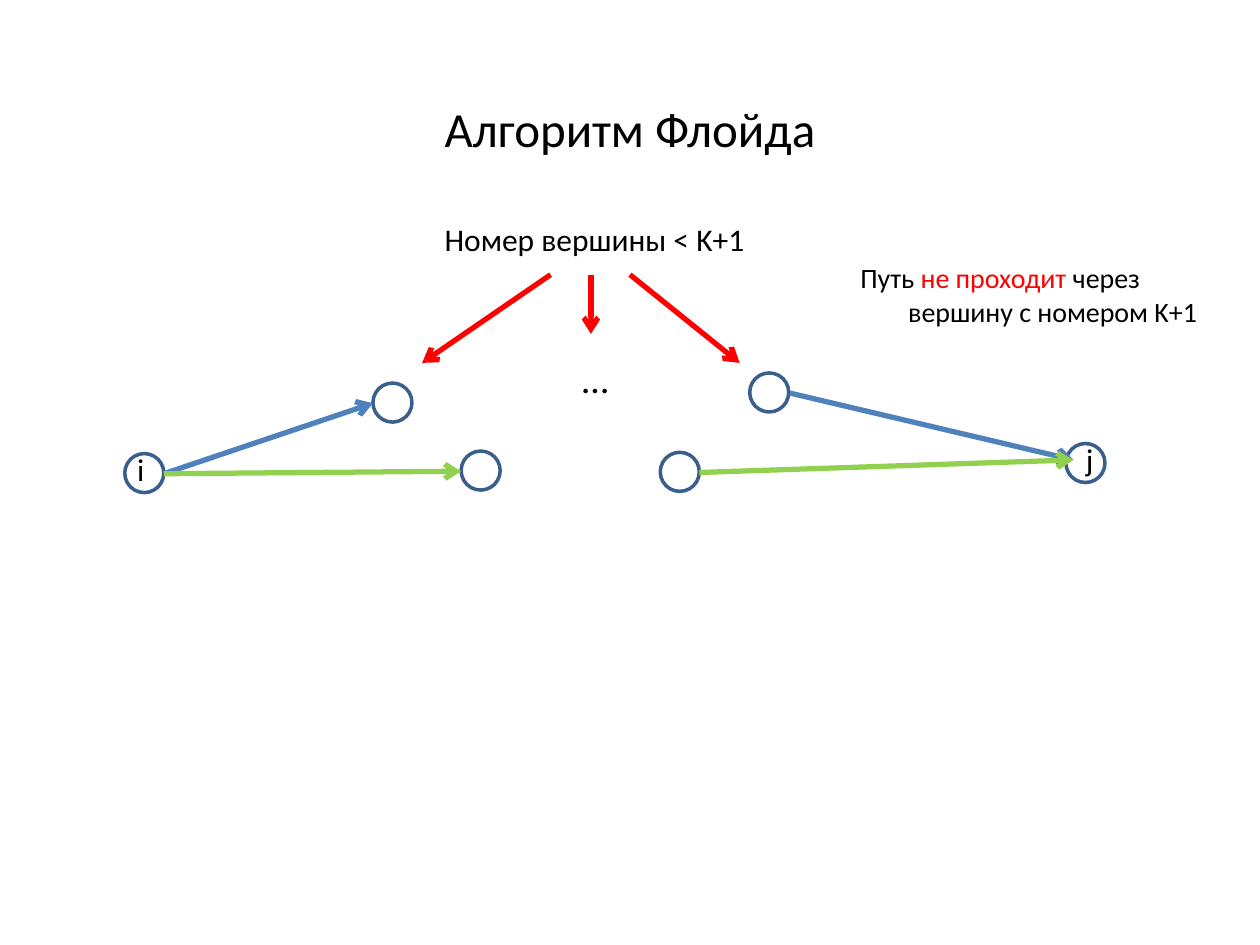
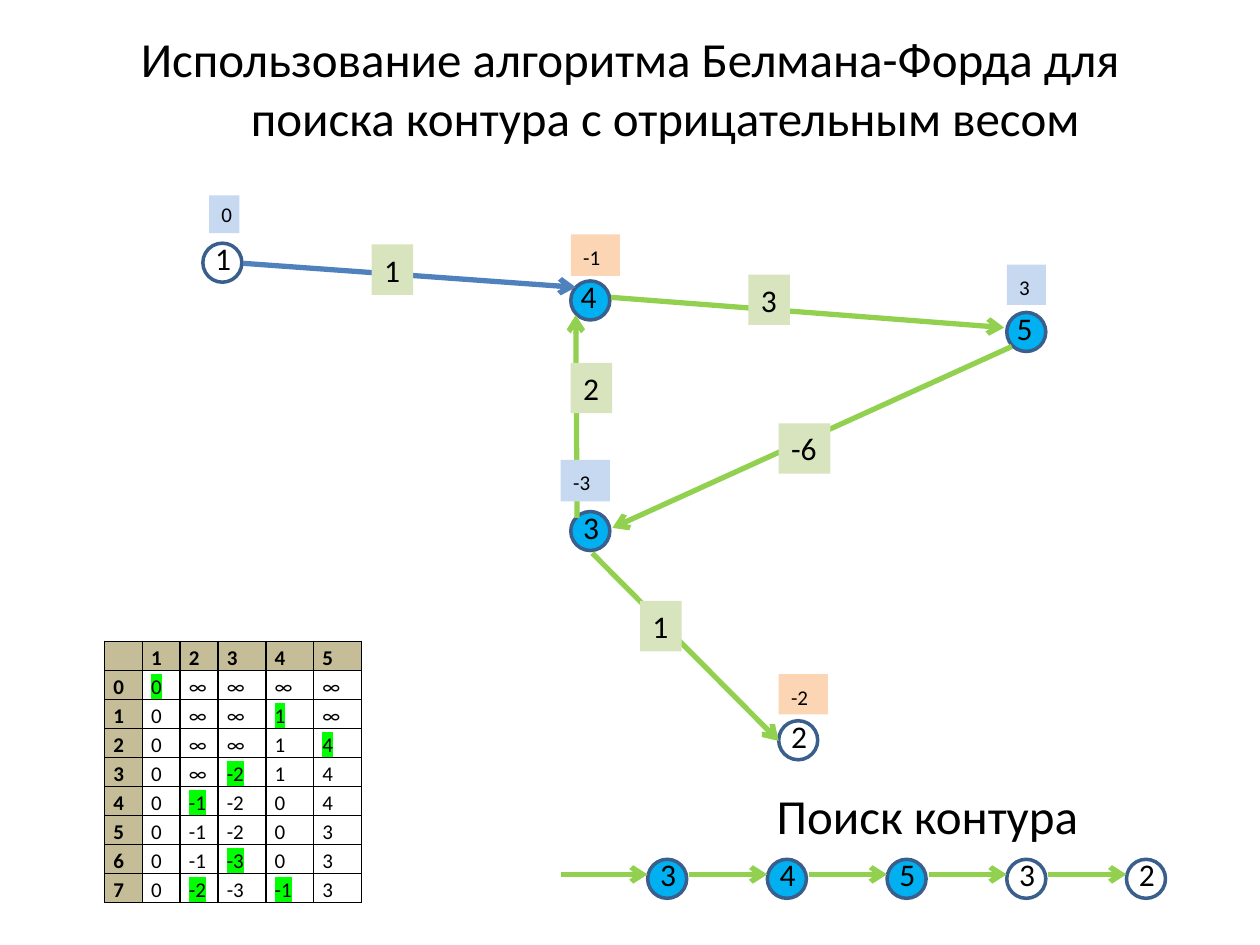
from lxml import etree
from pptx import Presentation
from pptx.dml.color import RGBColor
from pptx.enum.shapes import MSO_CONNECTOR, MSO_SHAPE
from pptx.enum.text import MSO_ANCHOR, MSO_AUTO_SIZE, PP_ALIGN
from pptx.oxml.ns import qn
from pptx.util import Inches, Pt

OVAL, RECT = MSO_SHAPE.OVAL, MSO_SHAPE.RECTANGLE
STRAIGHT = MSO_CONNECTOR.STRAIGHT
CENTER, LEFT = PP_ALIGN.CENTER, PP_ALIGN.LEFT
MIDDLE, TOP = MSO_ANCHOR.MIDDLE, MSO_ANCHOR.TOP
GROW = MSO_AUTO_SIZE.SHAPE_TO_FIT_TEXT

FONT = "Calibri"
BLACK, WHITE, RED = "000000", "FFFFFF", "FF0000"
BLUE, GREEN, OUTLINE, CYCLE = "4F81BD", "92D050", "3A5F8C", "00B0F0"
WEIGHT, DISTANCE, CHANGED = "D7E4BD", "C6D9F1", "FCD5B5"
HEADER, MARKER = "C4BD97", "00FF00"
NODE = 0.31


def rgb(value):
    return RGBColor.from_string(value)


def add_color(parent, tag, value):
    """Append a tag holding a plain colour and return it."""
    element = etree.SubElement(parent, qn(tag))
    etree.SubElement(element, qn("a:srgbClr"), val=value)
    return element


class Board:
    """Holds the presentation's style and the slide being drawn."""

    def __init__(self):
        self.deck = Presentation()
        self.deck.slide_width, self.deck.slide_height = Inches(10), Inches(7.5)
        self.shapes = None

    def new_slide(self):
        self.shapes = self.deck.slides.add_slide(self.deck.slide_layouts[6]).shapes

    def add_run(self, paragraph, text, size, color=BLACK, bold=False):
        run = paragraph.add_run()
        run.text = text
        run.font.size, run.font.bold = Pt(size), bold
        run.font.color.rgb = rgb(color)
        run.font.name = FONT
        return run

    def fill_text(self, shape, runs, size, align=LEFT, anchor=TOP, hang=0, wrap=True, grow=True):
        """Fill a shape with one paragraph of (text, colour) runs."""
        frame = shape.text_frame
        frame.word_wrap, frame.vertical_anchor = wrap, anchor
        if grow:
            frame.auto_size = GROW
        paragraph = frame.paragraphs[0]
        paragraph.alignment = align
        if hang:
            properties = paragraph._p.get_or_add_pPr()
            properties.set("marL", str(Inches(hang)))
            properties.set("indent", str(-Inches(hang)))
        for text, color in runs:
            self.add_run(paragraph, text, size, color)
        return paragraph

    def text(self, box, runs, size, **style):
        shape = self.shapes.add_textbox(*map(Inches, box))
        return self.fill_text(shape, runs, size, **style)

    def title(self, box, text, size=28):
        self.text(box, [(text, BLACK)], size, align=CENTER, anchor=MIDDLE, hang=0.56, grow=False)

    def shape(self, kind, box, fill):
        shape = self.shapes.add_shape(kind, *map(Inches, box))
        shape.shadow.inherit = False
        shape.fill.solid()
        shape.fill.fore_color.rgb = rgb(fill)
        shape.line.fill.background()
        return shape

    def node(self, x, y, label="", fill=WHITE, shift=0):
        """Draw a graph vertex; shift moves its label sideways."""
        circle = self.shape(OVAL, (x, y, NODE, NODE), fill)
        circle.line.color.rgb = rgb(OUTLINE)
        circle.line.width = Pt(2)
        if label:
            self.text((x + shift, y - 0.08, 0.33, 0.4), [(label, BLACK)], 18, wrap=False)

    def arrow(self, start, end, color=GREEN):
        line = self.shapes.add_connector(STRAIGHT, *map(Inches, (*start, *end)))
        line.line.color.rgb = rgb(color)
        line.line.width = Pt(3)
        etree.SubElement(line.line._get_or_add_ln(), qn("a:tailEnd"), type="arrow")
        etree.SubElement(line._element.spPr, qn("a:effectLst"))

    def weight(self, x, y, text, width=0.33):
        tag = self.shape(RECT, (x, y, width, 0.4), WEIGHT)
        self.fill_text(tag, [(text, BLACK)], 18, wrap=False)

    def distance(self, box, text, fill=DISTANCE, spacing=1.15):
        tag = self.shape(RECT, box, fill)
        paragraph = self.fill_text(tag, [(text, BLACK)], 12)
        paragraph.line_spacing = spacing
        if spacing > 1:
            paragraph.space_after = Pt(10)

    def cell(self, cell, text, header, marked):
        cell.margin_left = cell.margin_right = Inches(0.07)
        cell.margin_top = cell.margin_bottom = 0
        properties = cell._tc.get_or_add_tcPr()
        for side in ("a:lnL", "a:lnR", "a:lnT", "a:lnB"):
            border = etree.SubElement(properties, qn(side), w=str(Pt(1)))
            add_color(border, "a:solidFill", BLACK)
        if header:
            cell.fill.solid()
            cell.fill.fore_color.rgb = rgb(HEADER)
        else:
            cell.fill.background()
        paragraph = cell.text_frame.paragraphs[0]
        paragraph.line_spacing, paragraph.space_after = 1.15, Pt(10)
        if not text:
            etree.SubElement(paragraph._p, qn("a:endParaRPr"), sz="1200")
            return
        run_properties = self.add_run(paragraph, text, 12, bold=header)._r.rPr
        if marked:
            highlight = add_color(run_properties, "a:highlight", MARKER)
            run_properties.find(qn("a:latin")).addprevious(highlight)

    def table(self, x, y, widths, row_height, rows):
        """Draw rows of text; a trailing * marks a highlighted value."""
        size = (sum(widths), row_height * len(rows))
        table = self.shapes.add_table(
            len(rows), len(widths), *map(Inches, (x, y, *size))).table
        for column, width in zip(table.columns, widths):
            column.width = Inches(width)
        for r, values in enumerate(rows):
            table.rows[r].height = Inches(row_height)
            for c, value in enumerate(values):
                self.cell(table.cell(r, c), value.rstrip("*"),
                          r == 0 or c == 0, value.endswith("*"))


def floyd_slide(board):
    board.new_slide()
    board.title((0.75, 0.21, 8.5, 1.61), "Алгоритм Флойда")
    board.node(0.99, 3.6, "i")
    board.node(8.46, 3.52, "j", shift=0.06)
    for x, y in ((2.96, 3.04), (5.95, 2.96), (3.66, 3.58), (5.24, 3.59)):
        board.node(x, y)
    board.title((4.37, 2.81, 0.71, 0.39), "…", 21.7)
    board.text((3.43, 1.7, 2.61, 0.4), [("Номер вершины < K+1", BLACK)], 18, wrap=False)
    from_i, to_j = (1.3, 3.76), (8.52, 3.65)
    board.arrow(from_i, (2.96, 3.2), BLUE)
    board.arrow((6.27, 3.12), to_j, BLUE)
    board.arrow(from_i, (3.66, 3.74))
    board.arrow((5.55, 3.75), to_j)
    for x, end in ((4.37, (3.35, 2.88)), (4.69, (4.69, 2.65)), (5, (5.87, 2.88))):
        board.arrow((x, 2.18), end, RED)
    note = [("Путь ", BLACK), ("не проходит", RED), (" через вершину с номером K+1", BLACK)]
    board.text((6.73, 2.02, 3.27, 0.64), note, 16, hang=0.38)


def bellman_ford_slide(board):
    board.new_slide()
    board.title((0.75, 0.05, 8.5, 1.29),
                "Использование алгоритма Белмана-Форда для поиска контура с отрицательным весом")
    board.node(1.61, 1.93, "1")
    board.node(6.18, 5.72, "2")
    board.node(4.53, 4.06, "3", CYCLE)
    board.node(4.53, 2.23, "4", CYCLE, shift=-0.02)
    board.node(7.99, 2.48, "5", CYCLE, shift=-0.02)

    board.arrow((1.93, 2.09), (4.57, 2.28), BLUE)
    board.arrow((4.85, 2.36), (7.97, 2.6))
    board.arrow((8.03, 2.75), (4.86, 4.19))
    board.arrow((4.7, 4.39), (6.18, 5.88))
    board.arrow((4.58, 4.11), (4.57, 2.5))

    board.weight(2.95, 1.94, "1")
    board.weight(5.94, 2.18, "3")
    board.weight(6.18, 3.36, "-6", 0.41)
    board.weight(5.08, 4.77, "1")
    board.weight(4.53, 2.88, "2")

    board.distance((1.66, 1.55, 0.24, 0.3), "0", spacing=1)
    board.distance((6.18, 5.35, 0.39, 0.32), "-2", CHANGED)
    board.distance((4.45, 3.65, 0.39, 0.33), "-3")
    board.distance((4.53, 1.86, 0.39, 0.33), "-1", CHANGED)
    board.distance((7.99, 2.1, 0.31, 0.32), "3")

    steps = [
        ["", "1", "2", "3", "4", "5"],
        ["0", "0*", "∞", "∞", "∞", "∞"],
        ["1", "0", "∞", "∞", "1*", "∞"],
        ["2", "0", "∞", "∞", "1", "4*"],
        ["3", "0", "∞", "-2*", "1", "4"],
        ["4", "0", "-1*", "-2", "0", "4"],
        ["5", "0", "-1", "-2", "0", "3"],
        ["6", "0", "-1", "-3*", "0", "3"],
        ["7", "0", "-2*", "-3", "-1*", "3"],
    ]
    board.table(0.83, 5.09, [0.3] * 3 + [0.38] * 3, 0.23, steps)

    board.title((5, 6.19, 4.72, 0.55), "Поиск контура")
    arrow_start = 4.45
    for i, label in enumerate("34532"):
        x = 5.14 + 0.95 * i
        board.node(x, 6.82, label, CYCLE if i < 3 else WHITE)
        board.arrow((arrow_start, 6.94), (x, 6.94))
        arrow_start = x + 0.33


def main():
    board = Board()
    floyd_slide(board)
    bellman_ford_slide(board)
    board.deck.save("out.pptx")


if __name__ == "__main__":
    main()
